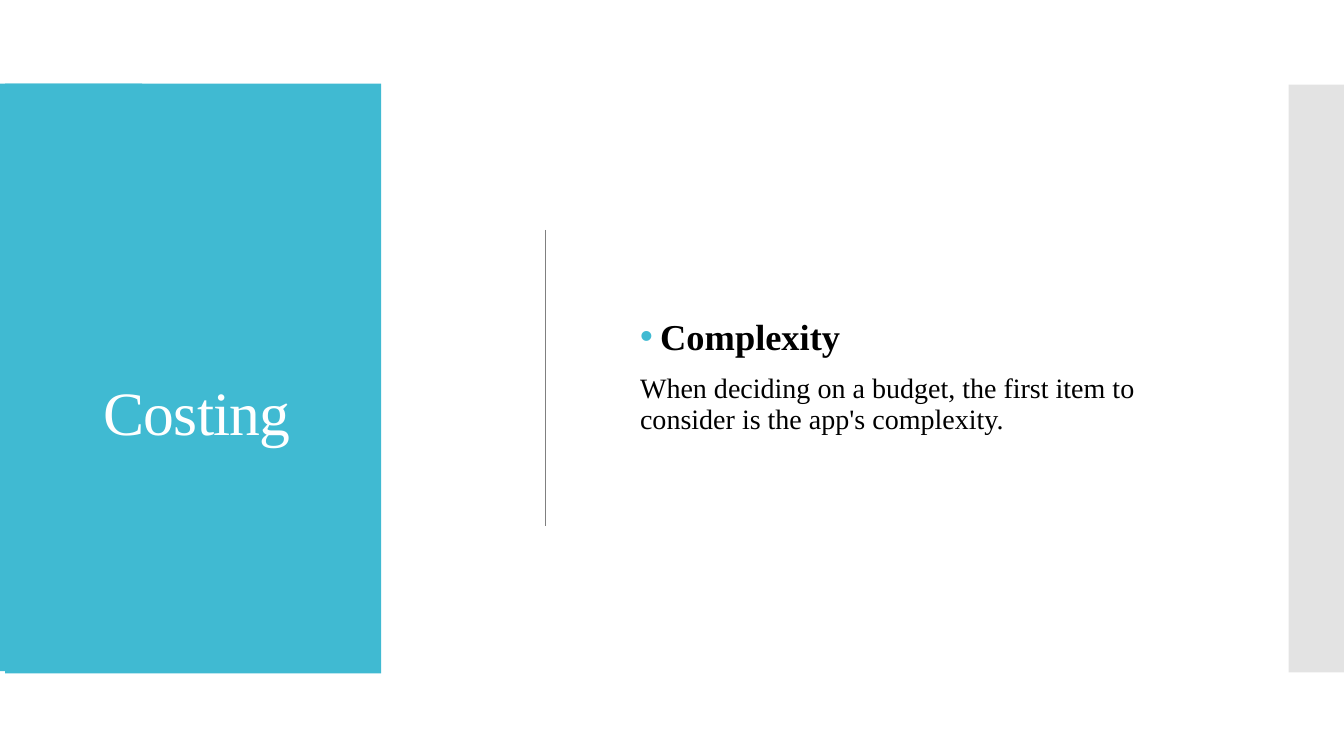
from lxml.etree import SubElement
from pptx import Presentation
from pptx.dml.color import RGBColor
from pptx.enum.shapes import MSO_CONNECTOR, MSO_SHAPE
from pptx.enum.text import MSO_ANCHOR, PP_ALIGN
from pptx.oxml.ns import qn
from pptx.util import Inches, Pt

FONT = "Times New Roman"
COLORS = {"teal": "40BAD2", "gray": "C8C8C8", "rule": "808080",
          "white": "FFFFFF", "black": "000000"}

TITLE = "Costing"
HEAD = "Complexity"
BODY = "When deciding on a budget, the first item to consider is the app's complexity.\u00a0"

# left, top, width, height, color, opacity in percent
PANELS = [
    (0, 0.83, 1.41, 5.83, "teal", 100),
    (12.78, 0.84, 0.56, 5.83, "gray", 50),
    (0.05, 0.83, 3.73, 5.85, "teal", 100),
]
RULE = (5.41, 2.28, 5.41, 5.22)
TITLE_BOX = (0.05, 2.04, 2.93, 4.16)
BODY_BOX = (6.25, 0.94, 6, 5.6)


def color(name):
    return RGBColor.from_string(COLORS[name])


def add_panel(slide, left, top, width, height, fill, opacity):
    box = map(Inches, (left, top, width, height))
    panel = slide.shapes.add_shape(MSO_SHAPE.RECTANGLE, *box)
    panel.shadow.inherit = False
    panel.fill.solid()
    panel.fill.fore_color.rgb = color(fill)
    panel.line.fill.background()
    if opacity < 100:
        tone = panel._element.spPr.find(qn("a:solidFill"))[0]
        SubElement(tone, qn("a:alpha"), val=str(opacity * 1000))


def add_rule(slide):
    rule = slide.shapes.add_connector(MSO_CONNECTOR.STRAIGHT, *map(Inches, RULE))
    rule.line.color.rgb = color("rule")
    rule.line.width = Pt(1)
    SubElement(rule._element.spPr, qn("a:effectLst"))


def add_text(slide, box, lines):
    """Add a middle-anchored box; each line is text, size, color, bold."""
    frame = slide.shapes.add_textbox(*map(Inches, box)).text_frame
    frame.word_wrap = True
    frame.vertical_anchor = MSO_ANCHOR.MIDDLE
    frame.text = "\n".join(line[0] for line in lines)
    for para, (_, size, tint, bold) in zip(frame.paragraphs, lines):
        para.line_spacing = 0.9
        font = para.runs[0].font
        font.name, font.size, font.bold = FONT, Pt(size), bold
        font.color.rgb = color(tint)
    return frame.paragraphs


def add_bullet(para, tint, indent):
    props = para._p.get_or_add_pPr()
    props.set("marL", str(Inches(indent)))
    props.set("indent", str(-Inches(indent)))
    SubElement(SubElement(props, qn("a:buClr")), qn("a:srgbClr"), val=COLORS[tint])
    SubElement(props, qn("a:buFont"), typeface="Arial")
    SubElement(props, qn("a:buChar"), char="•")


def main():
    deck = Presentation()
    deck.slide_width, deck.slide_height = Inches(13.33), Inches(7.5)
    slide = deck.slides.add_slide(deck.slide_layouts[6])

    for panel in PANELS:
        add_panel(slide, *panel)
    add_rule(slide)

    title = add_text(slide, TITLE_BOX, [(TITLE, 44, "white", False)])[0]
    title.alignment = PP_ALIGN.RIGHT
    title.runs[0].font._element.set("spc", "-60")

    body = add_text(slide, BODY_BOX, [(HEAD, 26, "black", True),
                                      (BODY, 20, "black", False)])
    for para in body:
        para.space_before = Pt(12)
    add_bullet(body[0], "teal", 0.2)

    deck.save("out.pptx")


if __name__ == "__main__":
    main()
